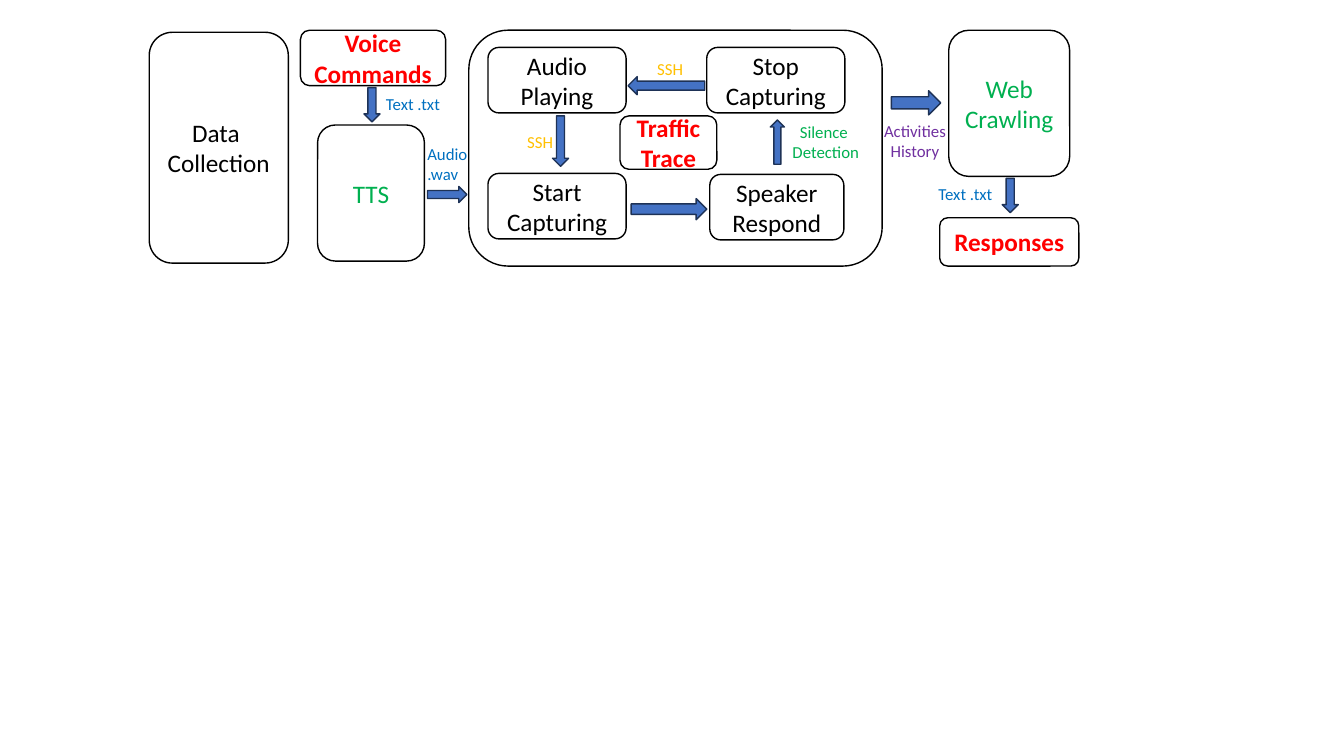
"""Draw the voice data flow: boxes, labels and block arrows."""
from typing import NamedTuple

from pptx import Presentation
from pptx.dml.color import RGBColor
from pptx.enum.shapes import MSO_SHAPE
from pptx.enum.text import MSO_ANCHOR, PP_ALIGN
from pptx.shapes.autoshape import Shape
from pptx.slide import Slide
from pptx.util import Inches, Pt

BLACK, WHITE, RED, GREEN = "000000", "FFFFFF", "FF0000", "00B050"
BLUE, GOLD, PURPLE = "0070C0", "FFC000", "7030A0"
ARROW_FILL, ARROW_LINE = "4472C4", "1E3256"
ROUND, FRAME = MSO_SHAPE.ROUNDED_RECTANGLE, MSO_SHAPE.FLOWCHART_ALTERNATE_PROCESS
LEFT, RIGHT = MSO_SHAPE.LEFT_ARROW, MSO_SHAPE.RIGHT_ARROW
UP, DOWN = MSO_SHAPE.UP_ARROW, MSO_SHAPE.DOWN_ARROW


class Place(NamedTuple):
    left: float
    top: float
    width: float
    height: float


class Box(NamedTuple):
    text: str
    place: Place
    color: str = BLACK
    kind: MSO_SHAPE = ROUND


class Label(NamedTuple):
    text: str
    place: Place
    color: str
    align: PP_ALIGN = PP_ALIGN.LEFT


class Arrow(NamedTuple):
    kind: MSO_SHAPE
    place: Place


BOXES = [
    Box("Data \nCollection", Place(1.48, 0.32, 1.38, 2.29)),
    Box("TTS", Place(3.15, 1.24, 1.06, 1.35), GREEN),
    Box("Web Crawling", Place(9.41, 0.3, 1.2, 1.45), GREEN),
    Box("Voice Commands", Place(2.98, 0.3, 1.44, 0.55), RED),
    Box("Responses", Place(9.32, 2.16, 1.38, 0.48), RED),
    Box("", Place(4.65, 0.3, 4.1, 2.34), kind=FRAME),
    Box("Audio Playing", Place(4.84, 0.47, 1.37, 0.65)),
    Box("Speaker\nRespond", Place(7.04, 1.73, 1.33, 0.65)),
    Box("Start\nCapturing", Place(4.84, 1.72, 1.37, 0.65)),
    Box("Stop Capturing", Place(7.01, 0.47, 1.37, 0.65)),
    Box("Traffic Trace", Place(6.15, 1.15, 0.96, 0.53), RED),
]
LABELS = [
    Label("Audio\n.wav", Place(4.14, 1.38, 0.7, 0.5), BLUE),
    Label("Activities History", Place(8.64, 1.15, 0.87, 0.5), PURPLE, PP_ALIGN.CENTER),
    Label("Text .txt", Place(3.73, 0.88, 0.85, 0.3), BLUE),
    Label("Text .txt", Place(9.21, 1.77, 0.87, 0.3), BLUE),
    Label("Silence \nDetection", Place(7.72, 1.16, 0.94, 0.5), GREEN, PP_ALIGN.CENTER),
    Label("SSH", Place(5.13, 1.26, 0.47, 0.3), GOLD),
    Label("SSH", Place(6.42, 0.53, 0.47, 0.3), GOLD),
]
ARROWS = [
    Arrow(RIGHT, Place(4.24, 1.85, 0.39, 0.16)),
    Arrow(RIGHT, Place(8.84, 0.9, 0.49, 0.24)),
    Arrow(DOWN, Place(9.94, 1.77, 0.16, 0.34)),
    Arrow(DOWN, Place(3.61, 0.87, 0.16, 0.34)),
    Arrow(DOWN, Place(5.48, 1.15, 0.16, 0.5)),
    Arrow(RIGHT, Place(6.26, 1.97, 0.75, 0.21)),
    Arrow(UP, Place(7.64, 1.19, 0.14, 0.44)),
    Arrow(LEFT, Place(6.23, 0.76, 0.76, 0.18)),
]


def paint(code: str) -> RGBColor:
    return RGBColor.from_string(code)


def write(shape: Shape, text: str, size: int, color: str, align: PP_ALIGN) -> None:
    frame = shape.text_frame
    frame.word_wrap = True
    frame.text = text
    for line in frame.paragraphs:
        line.alignment = align
        for run in line.runs:
            run.font.name = "Calibri"
            run.font.size = Pt(size)
            run.font.bold = color == RED
            run.font.color.rgb = paint(color)


def add_block(slide: Slide, kind: MSO_SHAPE, place: Place, fill: str, edge: str) -> Shape:
    shape = slide.shapes.add_shape(kind, *map(Inches, place))
    shape.shadow.inherit = False
    shape.fill.solid()
    shape.fill.fore_color.rgb = paint(fill)
    shape.line.color.rgb = paint(edge)
    shape.line.width = Pt(1)
    return shape


def add_box(slide: Slide, box: Box) -> None:
    shape = add_block(slide, box.kind, box.place, WHITE, BLACK)
    if box.text:
        shape.text_frame.vertical_anchor = MSO_ANCHOR.MIDDLE
        write(shape, box.text, 18, box.color, PP_ALIGN.CENTER)


def add_label(slide: Slide, label: Label) -> None:
    shape = slide.shapes.add_textbox(*map(Inches, label.place))
    write(shape, label.text, 12, label.color, label.align)


def main() -> None:
    deck = Presentation()
    deck.slide_width, deck.slide_height = Inches(13.33), Inches(7.5)
    slide = deck.slides.add_slide(deck.slide_layouts[6])
    for box in BOXES:
        add_box(slide, box)
    for label in LABELS:
        add_label(slide, label)
    for arrow in ARROWS:
        add_block(slide, arrow.kind, arrow.place, ARROW_FILL, ARROW_LINE)
    deck.save("out.pptx")


if __name__ == "__main__":
    main()
